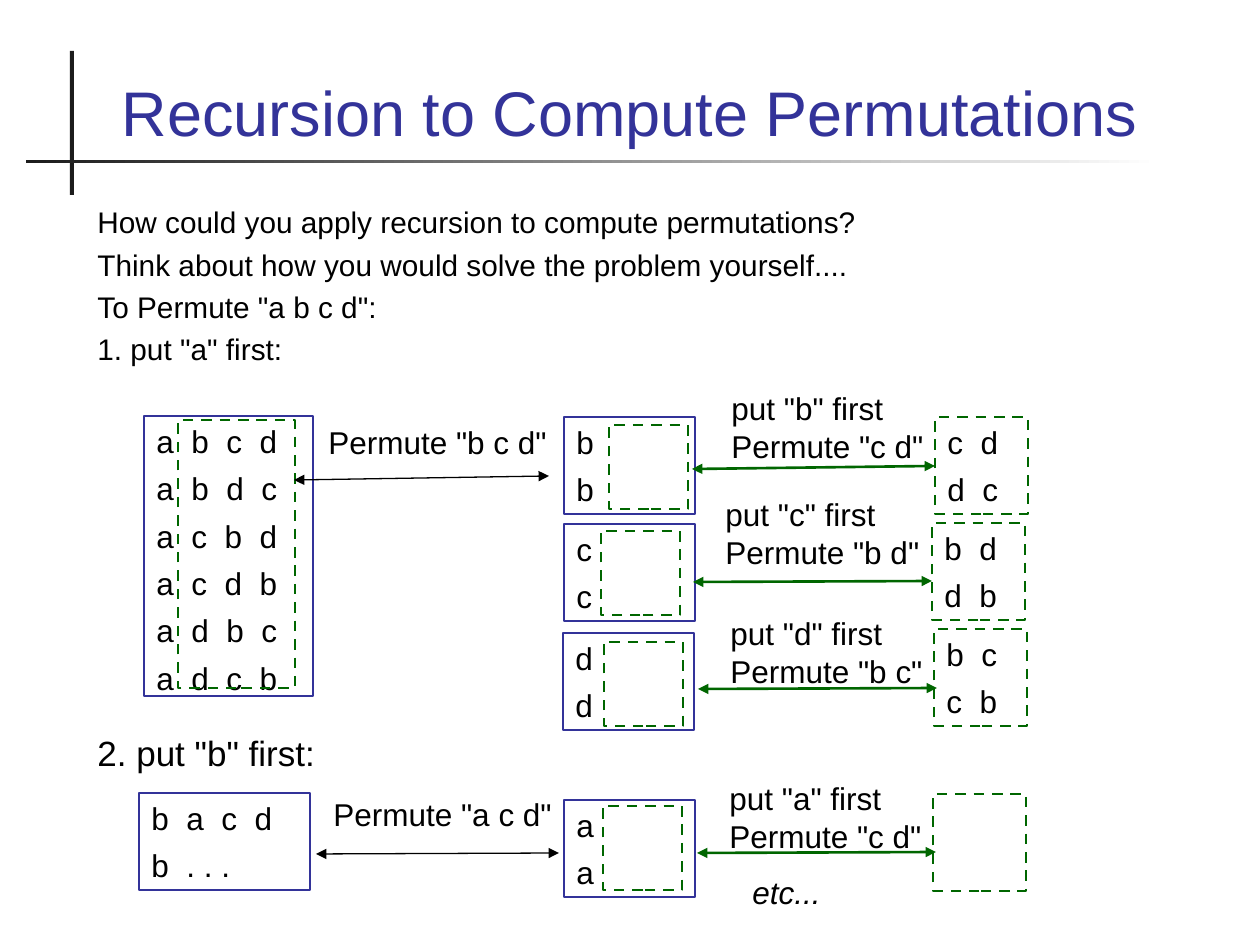
from lxml.etree import SubElement
from pptx import Presentation
from pptx.dml.color import RGBColor
from pptx.enum.dml import MSO_LINE_DASH_STYLE as Dash
from pptx.enum.shapes import MSO_CONNECTOR as Connector, MSO_SHAPE as Shape
from pptx.enum.text import MSO_ANCHOR as Anchor, PP_ALIGN as Align
from pptx.oxml.ns import qn
from pptx.util import Emu, Pt

BLUE = RGBColor(0x33, 0x33, 0x99)
GREEN = RGBColor(0x00, 0x66, 0x00)
BLACK = RGBColor(0x00, 0x00, 0x00)
DARK = RGBColor(0x1C, 0x1C, 0x1C)
WHITE = RGBColor(0xFF, 0xFF, 0xFF)
FONT = "Arial"
SCALE = 914400 / 126
THIN, THICK = 0.75, 1.5

TITLE = "Recursion to Compute Permutations"
INTRO = [
    "How could you apply recursion to compute permutations?",
    "Think about how you would solve the problem yourself....",
    'To Permute "a b c d":',
    '1. put "a" first:',
]
SECOND_STEP = '2. put "b" first:'

RESULTS = [
    ((144, 416, 169, 280), THIN,
     ["a  b  c  d", "a  b  d  c", "a  c  b  d", "a  c  d  b", "a  d  b  c", "a  d  c  b"]),
    ((139, 793, 171, 97), THICK, ["b  a  c  d", "b  . . ."]),
]
RESULT_TAIL = (178, 420, 117, 268)
CALLS = [
    ('Permute "b c d"', (316, 417), (294, 480, 549, 476)),
    ('Permute "a c d"', (321, 789), (316, 854, 559, 853)),
]
BRANCHES = [
    {"letter": "b", "box": (564, 417), "gap": (609, 425), "rest": "c d", "label": (719, 383),
     "arrow": (692, 469, 935, 466), "tails": (935, 417), "rows": ["c  d", "d  c"]},
    {"letter": "c", "box": (564, 524), "gap": (601, 531), "rest": "b d", "label": (713, 489),
     "arrow": (693, 582, 932, 581), "tails": (932, 523), "rows": ["b  d", "d  b"]},
    {"letter": "d", "box": (563, 633), "gap": (604, 642), "rest": "b c", "label": (718, 608),
     "arrow": (698, 689, 937, 688), "tails": (934, 629), "rows": ["b  c", "c  b"]},
    {"letter": "a", "box": (564, 800), "gap": (603, 806), "rest": "c d", "label": (717, 773),
     "arrow": (697, 853, 936, 852), "tails": (933, 794), "rows": []},
]
BRANCH_SIZE, GAP_SIZE, TAILS_SIZE = (131, 97), (79, 84), (93, 97)
LABEL_SIZE, CALL_SIZE = (264, 88), (264, 50)


def px(value):
    return Emu(round(value * SCALE))


def write(shape, lines, size=18, color=BLACK, before=5.4, spacing=1.0,
          align=Align.LEFT, anchor=Anchor.TOP, italic=False):
    frame = shape.text_frame
    frame.word_wrap = True
    frame.vertical_anchor = anchor
    for index, line in enumerate(lines):
        para = frame.add_paragraph() if index else frame.paragraphs[0]
        para.alignment = align
        para.line_spacing = spacing
        para.space_before = Pt(before if index else 0)
        for part_index, part in enumerate(line.split("\n")):
            if part_index:
                para.add_line_break()
            span = para.add_run()
            span.text = part
            span.font.name = FONT
            span.font.size = Pt(size)
            span.font.color.rgb = color
            span.font.italic = italic


def add_text(page, place, lines, **style):
    box = page.shapes.add_textbox(*map(px, place))
    write(box, lines, **style)


def add_box(page, place, color, width, lines=(), dash=None):
    box = page.shapes.add_shape(Shape.RECTANGLE, *map(px, place))
    box.shadow.inherit = False
    box.fill.background()
    box.line.color.rgb = color
    box.line.width = Pt(width)
    if dash:
        box.line.dash_style = dash
    if lines:
        write(box, lines)


def add_arrow(page, ends, color, width):
    arrow = page.shapes.add_connector(Connector.STRAIGHT, *map(px, ends))
    arrow.line.color.rgb = color
    arrow.line.width = Pt(width)
    line = arrow.line._get_or_add_ln()
    for tag in ("a:headEnd", "a:tailEnd"):
        SubElement(line, qn(tag), type="triangle")
    SubElement(arrow._element.spPr, qn("a:effectLst"))


def add_bar(page, place, fade=False):
    bar = page.shapes.add_shape(Shape.RECTANGLE, *map(px, place))
    bar.shadow.inherit = False
    bar.line.fill.background()
    if fade:
        bar.fill.gradient()
        bar.fill.gradient_angle = 0
        for stop, color in zip(bar.fill.gradient_stops, (DARK, WHITE)):
            stop.color.rgb = color
    else:
        bar.fill.solid()
        bar.fill.fore_color.rgb = DARK


def add_branch(page, branch):
    letter = branch["letter"]
    add_box(page, branch["box"] + BRANCH_SIZE, BLUE, THIN, [letter, letter])
    add_box(page, branch["gap"] + GAP_SIZE, GREEN, THICK, dash=Dash.DASH)
    add_text(page, branch["label"] + LABEL_SIZE,
             [f'put "{letter}" first\nPermute "{branch["rest"]}"'])
    add_box(page, branch["tails"] + TAILS_SIZE, GREEN, THICK, branch["rows"], Dash.DASH)
    add_arrow(page, branch["arrow"], GREEN, THICK)


def main():
    deck = Presentation()
    deck.slide_width, deck.slide_height = px(1260), px(945)
    page = deck.slides.add_slide(deck.slide_layouts[6])

    add_bar(page, (70, 51, 4, 144))
    add_bar(page, (26, 160, 1133, 3), fade=True)
    add_text(page, (84, 35, 1091, 120), [TITLE], size=36, color=BLUE,
             align=Align.CENTER, anchor=Anchor.BOTTOM)
    add_text(page, (85, 202, 1091, 225), INTRO, size=17, before=5.8, spacing=0.9)
    add_text(page, (85, 725, 1091, 55), [SECOND_STEP], size=20)

    for place, width, rows in RESULTS:
        add_box(page, place, BLUE, width, rows)
    add_box(page, RESULT_TAIL, GREEN, THICK, dash=Dash.DASH)
    for label, corner, ends in CALLS:
        add_text(page, corner + CALL_SIZE, [label])
        add_arrow(page, ends, BLACK, THIN)
    for branch in BRANCHES:
        add_branch(page, branch)
    add_text(page, (740, 867) + CALL_SIZE, ["etc..."], italic=True)

    deck.save("out.pptx")


if __name__ == "__main__":
    main()
